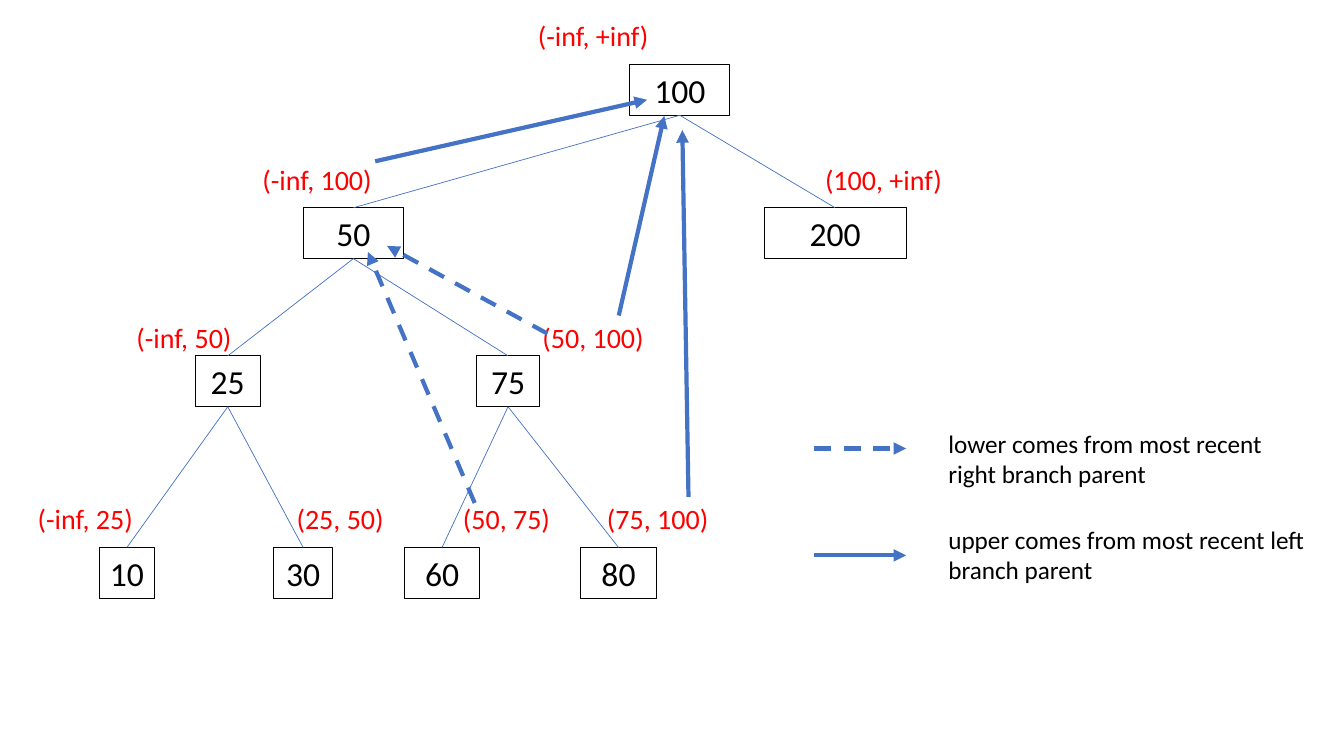
from dataclasses import dataclass

from lxml import etree
from pptx import Presentation
from pptx.dml.color import RGBColor
from pptx.enum.dml import MSO_LINE
from pptx.enum.shapes import MSO_CONNECTOR, MSO_SHAPE
from pptx.enum.text import MSO_ANCHOR, MSO_AUTO_SIZE, PP_ALIGN
from pptx.oxml.ns import qn
from pptx.util import Pt

STRAIGHT = MSO_CONNECTOR.STRAIGHT
RECT = MSO_SHAPE.RECTANGLE
DASH = MSO_LINE.DASH
CENTER, LEFT = PP_ALIGN.CENTER, PP_ALIGN.LEFT
MIDDLE = MSO_ANCHOR.MIDDLE
FIT_SHAPE = MSO_AUTO_SIZE.SHAPE_TO_FIT_TEXT
TOP_SIDE, BOTTOM_SIDE = 0, 2


@dataclass(frozen=True)
class Theme:
    font: str = "Calibri"
    ink: RGBColor = RGBColor(0x00, 0x00, 0x00)
    bounds: RGBColor = RGBColor(0xFF, 0x00, 0x00)
    link: RGBColor = RGBColor(0x44, 0x72, 0xC4)
    node_size: int = 24
    bounds_size: int = 20
    legend_size: int = 18


THEME = Theme()

prs = Presentation()
prs.slide_width, prs.slide_height = Pt(960), Pt(540)
shapes = prs.slides.add_slide(prs.slide_layouts[6]).shapes


def write(sp, text, size, color, align):
    tf = sp.text_frame
    tf.word_wrap = True
    tf.auto_size = FIT_SHAPE
    p = tf.paragraphs[0]
    p.text = text
    p.alignment = align
    p.font.name = THEME.font
    p.font.size = Pt(size)
    p.font.color.rgb = color


def add_line(start, end, width, dashed=False, arrow=False):
    line = shapes.add_connector(STRAIGHT, *(Pt(v) for v in (*start, *end)))
    line.line.color.rgb = THEME.link
    line.line.width = Pt(width)
    if dashed:
        line.line.dash_style = DASH
    if arrow:
        etree.SubElement(line.line._get_or_add_ln(), qn("a:tailEnd"), type="triangle")
    etree.SubElement(line._element.spPr, qn("a:effectLst"))
    return line


# Tree level: top of the nodes, top of the bounds labels
LEVELS = [(46, 9.4), (148.4, 112.3), (254.2, 225.4), (391, 354.8)]
NODE_H = 36.35
BOUNDS_W, BOUNDS_H = 131.8, 31.5

# Value: level, centre x, width, parent, bounds, centre x of bounds
TREE = {
    "100": (0, 485.6, 71.5, None, "(-inf, +inf)", 423.7),
    "50": (1, 252.4, 71.5, "100", "(-inf, 100)", 226.5),
    "200": (1, 596.5, 101.5, "100", "(100, +inf)", 631.1),
    "25": (2, 162.7, 46.2, "50", "(-inf, 50)", 131.4),
    "75": (2, 362.9, 44.6, "50", "(50, 100)", 423.7),
    "10": (3, 90.7, 39, "25", "(-inf, 25)", 60.9),
    "30": (3, 216.5, 42.7, "25", "(25, 50)", 243),
    "60": (3, 315.8, 54, "75", "(50, 75)", 361.8),
    "80": (3, 441.8, 54, "75", "(75, 100)", 469.8),
}

nodes = {}
for value, (level, x, width, parent, bounds, bounds_x) in TREE.items():
    top, bounds_top = LEVELS[level]
    node = shapes.add_shape(RECT, Pt(x - width / 2), Pt(top), Pt(width), Pt(NODE_H))
    node.shadow.inherit = False
    node.fill.background()
    node.line.color.rgb = THEME.ink
    node.line.width = Pt(0.75)
    node.text_frame.vertical_anchor = MIDDLE
    write(node, value, THEME.node_size, THEME.ink, CENTER)
    nodes[value] = node

    if parent:
        parent_level, parent_x = TREE[parent][:2]
        parent_bottom = LEVELS[parent_level][0] + NODE_H
        edge = add_line((parent_x, parent_bottom), (x, top), 0.5)
        edge.begin_connect(nodes[parent], BOTTOM_SIDE)
        edge.end_connect(node, TOP_SIDE)

    label = shapes.add_textbox(
        Pt(bounds_x - BOUNDS_W / 2), Pt(bounds_top), Pt(BOUNDS_W), Pt(BOUNDS_H)
    )
    write(label, bounds, THEME.bounds_size, THEME.bounds, CENTER)

# Arrows from a bound to the ancestor that sets it: start, end, dashed
BOUND_ARROWS = [
    ((268, 115.2), (462.2, 71.3), False),
    ((442, 225.4), (474.5, 82.8), False),
    ((491.8, 355), (487.4, 92.9), False),
    ((339.1, 359.3), (262.8, 180), True),
    ((391, 238.3), (276.5, 175.7), True),
]
for start, end, dashed in BOUND_ARROWS:
    add_line(start, end, 3, dashed, arrow=True)

# Legend: arrow y, text top, dashed, text
LEGEND = [
    (320.4, 302.4, True, "lower comes from most recent right branch parent"),
    (396.7, 370.8, False, "upper comes from most recent left branch parent"),
]
for y, top, dashed, text in LEGEND:
    add_line((581.8, y), (647.3, y), 3, dashed, arrow=True)
    caption = shapes.add_textbox(Pt(670.3), Pt(top), Pt(269.3), Pt(50.9))
    write(caption, text, THEME.legend_size, THEME.ink, LEFT)

prs.save("out.pptx")
